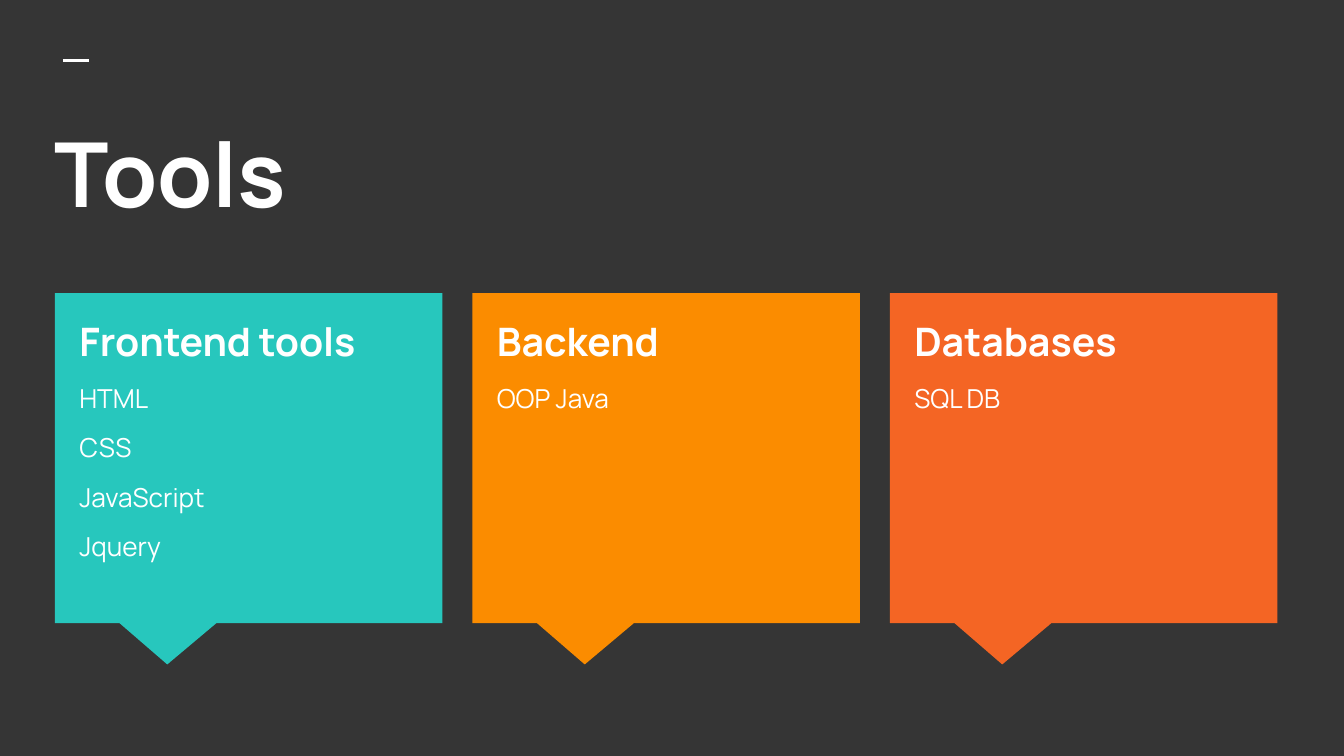
from lxml.etree import SubElement
from pptx import Presentation
from pptx.dml.color import RGBColor
from pptx.enum.shapes import MSO_CONNECTOR, MSO_SHAPE
from pptx.oxml.ns import qn
from pptx.util import Cm, Pt

CHARCOAL = RGBColor(0x35, 0x35, 0x35)
WHITE = RGBColor(0xFF, 0xFF, 0xFF)
TEAL = RGBColor(0x27, 0xC7, 0xBD)
AMBER = RGBColor(0xFB, 0x8C, 0x00)
ORANGE = RGBColor(0xF4, 0x65, 0x24)

FONT = "Manrope"
CARDS = [
    ("Frontend tools", ["HTML", "CSS", "JavaScript", "Jquery"], TEAL),
    ("Backend", ["OOP Java"], AMBER),
    ("Databases", ["SQL DB"], ORANGE),
]
CARD_LEFT, CARD_TOP = Cm(1.04), Cm(5.54)
CARD_WIDTH, CARD_HEIGHT = Cm(7.32), Cm(6.24)
CARD_GAP = Cm(0.57)


def add_text_box(slide, left, top, width, height):
    text_frame = slide.shapes.add_textbox(left, top, width, height).text_frame
    text_frame.word_wrap = True
    text_frame.margin_left = text_frame.margin_right = Cm(0.25)
    text_frame.margin_top = text_frame.margin_bottom = Cm(0.25)
    return text_frame


def write(paragraph, text, size, bold=False, space_before=0):
    paragraph.space_before = Pt(space_before)
    run = paragraph.add_run()
    run.text = text
    run.font.name = FONT
    run.font.size = Pt(size)
    run.font.bold = bold
    run.font.color.rgb = WHITE


def add_header(slide, left, top, width, height):
    """Place the short rule and, below it, the slide title."""
    rule_left = left + Cm(0.4)
    rule = slide.shapes.add_connector(
        MSO_CONNECTOR.STRAIGHT, rule_left, top, rule_left + Cm(0.5), top)
    rule.line.color.rgb = WHITE
    rule.line.width = Pt(1.5)
    SubElement(rule.element.spPr, qn("a:effectLst"))

    title_offset = Cm(0.84)
    title = add_text_box(
        slide, left, top + title_offset, width, height - title_offset)
    write(title.paragraphs[0], "Tools", size=48, bold=True)


def add_card(slide, left, top, width, height, heading, items, color):
    callout = slide.shapes.add_shape(
        MSO_SHAPE.RECTANGULAR_CALLOUT, left, top, width, height)
    callout.adjustments[0] = -0.21
    callout.adjustments[1] = 0.625
    callout.shadow.inherit = False
    callout.fill.solid()
    callout.fill.fore_color.rgb = color
    callout.line.fill.background()

    inset = Cm(0.21)
    text_frame = add_text_box(
        slide, left + inset, top + inset, width - 2 * inset, height - 3 * inset)
    write(text_frame.paragraphs[0], heading, size=21, bold=True)
    for item in items:
        write(text_frame.add_paragraph(), item, size=14, space_before=9.6)


def main():
    presentation = Presentation()
    presentation.slide_width = Cm(25.4)
    presentation.slide_height = Cm(14.29)
    slide = presentation.slides.add_slide(presentation.slide_layouts[6])
    slide.background.fill.solid()
    slide.background.fill.fore_color.rgb = CHARCOAL

    add_header(slide, Cm(0.79), Cm(1.14), Cm(23.95), Cm(3.68))
    for index, (heading, items, color) in enumerate(CARDS):
        left = CARD_LEFT + index * (CARD_WIDTH + CARD_GAP)
        add_card(slide, left, CARD_TOP, CARD_WIDTH, CARD_HEIGHT,
                 heading, items, color)

    presentation.save("out.pptx")


if __name__ == "__main__":
    main()
